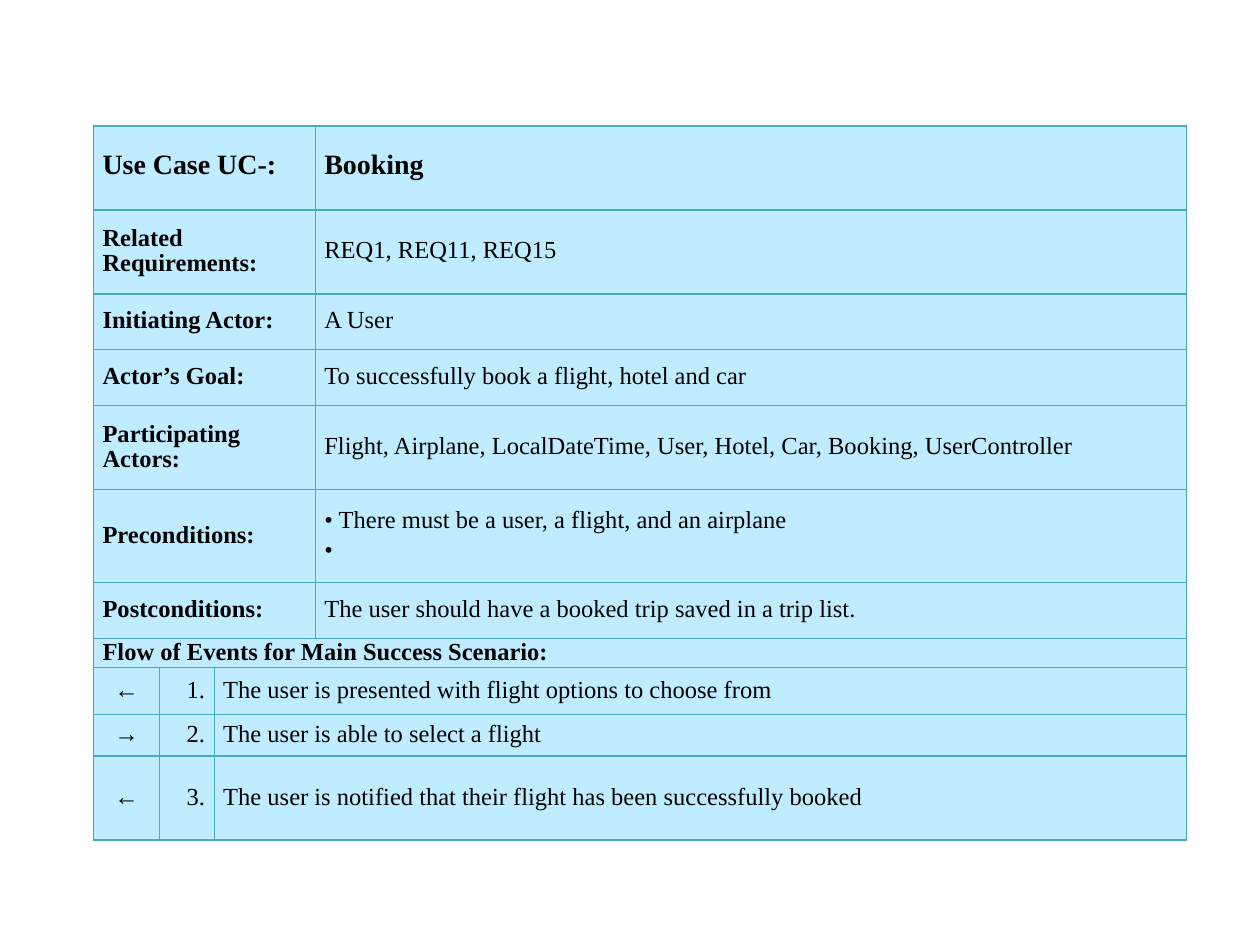
"""Build a use case slide holding one bordered specification table."""
import pptx
import pptx.dml.color
import pptx.enum.text
import pptx.oxml
import pptx.oxml.ns
import pptx.util

Pt = pptx.util.Pt
ALIGN = pptx.enum.text.PP_ALIGN
BLACK = pptx.dml.color.RGBColor(0x00, 0x00, 0x00)
PALE_BLUE = pptx.dml.color.RGBColor(0xBF, 0xEC, 0xFF)
TEAL = pptx.dml.color.RGBColor(0x46, 0xAA, 0xC5)
FONT = "Times New Roman"
COLUMN_WIDTHS = (38, 31, 57.8, 497.8)
ROW_HEIGHTS = (48, 48, 32, 32, 48, 53.2, 32, 16.6, 26.4, 24, 48)
DETAILS = (
    ("Related Requirements:", "REQ1, REQ11, REQ15"),
    ("Initiating Actor:", "A User"),
    ("Actor’s Goal:", "To successfully book a flight, hotel and car"),
    ("Participating Actors:",
     "Flight, Airplane, LocalDateTime, User, Hotel, Car, Booking, UserController"),
    ("Preconditions:", "• There must be a user, a flight, and an airplane\n•"),
    ("Postconditions:", "The user should have a booked trip saved in a trip list."),
)
STEPS = (
    ("←", "The user is presented with flight options to choose from"),
    ("→", "The user is able to select a flight"),
    ("←", "The user is notified that their flight has been successfully booked"),
)


def add_table(page):
    """Add the empty table with its column widths and row heights."""
    frame = page.shapes.add_table(
        len(ROW_HEIGHTS), len(COLUMN_WIDTHS), Pt(53.4), Pt(72),
        Pt(sum(COLUMN_WIDTHS)), Pt(sum(ROW_HEIGHTS)))
    table = frame.table
    table.first_row = False
    table.horz_banding = False
    for column, width in zip(table.columns, COLUMN_WIDTHS):
        column.width = Pt(width)
    for row, height in zip(table.rows, ROW_HEIGHTS):
        row.height = Pt(height)
    return table


def style_cell(cell):
    """Give a cell its fill, margins, anchor and four borders."""
    cell.fill.solid()
    cell.fill.fore_color.rgb = PALE_BLUE
    cell.margin_left = cell.margin_right = Pt(5.2)
    cell.margin_top = cell.margin_bottom = Pt(0)
    cell.vertical_anchor = pptx.enum.text.MSO_ANCHOR.MIDDLE
    properties = cell._tc.get_or_add_tcPr()
    for index, side in enumerate("LRTB"):
        border = pptx.oxml.parse_xml(
            f'<a:ln{side} {pptx.oxml.ns.nsdecls("a")} w="{Pt(0.75)}">'
            f'<a:solidFill><a:srgbClr val="{TEAL}"/></a:solidFill></a:ln{side}>')
        properties.insert(index, border)


def write(cell, text, size=14, bold=False, align=ALIGN.JUSTIFY, before=0):
    """Write the text of a cell and format its paragraphs."""
    cell.text_frame.text = text
    for para in cell.text_frame.paragraphs:
        para.alignment = align
        para.line_spacing = Pt(14)
        para.space_before = Pt(before)
        for span in para.runs:
            span.font.name = FONT
            span.font.size = Pt(size)
            span.font.bold = bold
            span.font.color.rgb = BLACK


def write_detail(table, row, label, value, **style):
    """Fill a row that has a bold label over three columns and a value."""
    table.cell(row, 0).merge(table.cell(row, 2))
    write(table.cell(row, 0), label, **{**style, "bold": True})
    write(table.cell(row, 3), value, **style)


def write_step(table, row, number, arrow, text):
    """Fill a row that has a direction arrow, a number and a step."""
    table.cell(row, 2).merge(table.cell(row, 3))
    write(table.cell(row, 0), arrow, align=ALIGN.CENTER)
    write(table.cell(row, 1), f"{number}.", align=ALIGN.RIGHT)
    write(table.cell(row, 2), text)


def main():
    """Build and save the deck."""
    deck = pptx.Presentation()
    deck.slide_width, deck.slide_height = Pt(720), Pt(540)
    page = deck.slides.add_slide(deck.slide_layouts[6])
    table = add_table(page)
    for cell in table.iter_cells():
        style_cell(cell)
    write_detail(table, 0, "Use Case UC-:", "Booking",
                 size=16, bold=True, align=ALIGN.LEFT, before=6)
    for row, (label, value) in enumerate(DETAILS, start=1):
        write_detail(table, row, label, value, before=3)
    flow_row = len(DETAILS) + 1
    table.cell(flow_row, 0).merge(table.cell(flow_row, 3))
    write(table.cell(flow_row, 0), "Flow of Events for Main Success Scenario:",
          bold=True, before=4)
    for number, (arrow, text) in enumerate(STEPS, start=1):
        write_step(table, flow_row + number, number, arrow, text)
    deck.save("out.pptx")


main()
